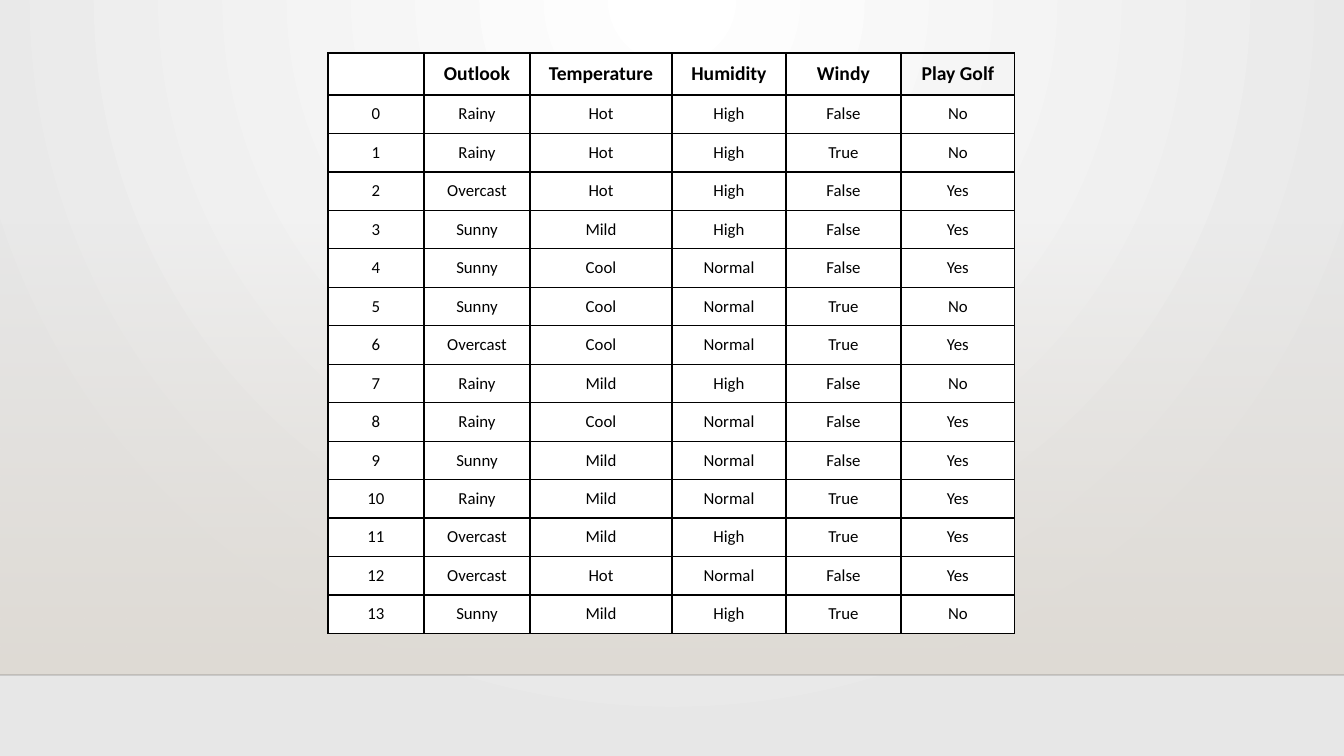
from lxml import etree
from pptx import Presentation
from pptx import util as u
from pptx.dml.color import RGBColor
from pptx.enum import shapes, text
from pptx.oxml import ns, parse_xml

PX = 914400 / 100.8
WIDE, HIGH = 1344, 756
COLORS = {"white": "FFFFFF", "edge": "E7E7E7", "sand": "DFDBD5",
          "rule": "000001", "ink": "000000"}
FONT = "Calibri"
HEADS = ["", "Outlook", "Temperature", "Humidity", "Windy", "Play Golf"]
DAYS = """Rainy Hot High False No
Rainy Hot High True No
Overcast Hot High False Yes
Sunny Mild High False Yes
Sunny Cool Normal False Yes
Sunny Cool Normal True No
Overcast Cool Normal True Yes
Rainy Mild High False No
Rainy Cool Normal False Yes
Sunny Mild Normal False Yes
Rainy Mild Normal True Yes
Overcast Mild High True Yes
Overcast Hot Normal False Yes
Sunny Mild High True No"""
COLS = [96, 106, 142, 114, 115, 114]
HEAD_H, ROW_H = 42, 38


def px(n):
    return u.Emu(round(n * PX))


def rgb(name):
    return RGBColor.from_string(COLORS[name])


def grade(fill, root, stops, way):
    """Give fill, the first gradient under root, (position, colour, alpha) stops."""
    fill.gradient()
    grad = next(root.iter(ns.qn("a:gradFill")))
    for kid in list(grad):
        grad.remove(kid)
    marks = "".join(
        f'<a:gs pos="{pos * 1000}"><a:srgbClr val="{COLORS[name]}">'
        f'<a:alpha val="{alpha * 1000}"/></a:srgbClr></a:gs>'
        for pos, name, alpha in stops)
    grad.append(parse_xml(f'<a:gsLst {ns.nsdecls("a")}>{marks}</a:gsLst>'))
    grad.append(parse_xml(way))


def write(cell, words, size=12, bold=False, pad=9):
    cell.vertical_anchor = text.MSO_ANCHOR.MIDDLE
    cell.margin_left = cell.margin_right = px(6)
    cell.margin_top = cell.margin_bottom = px(pad)
    para = cell.text_frame.paragraphs[0]
    para.alignment = text.PP_ALIGN.CENTER
    run = para.add_run()
    run.text = words
    run.font.name, run.font.size, run.font.bold = FONT, u.Pt(size), bold
    run.font.color.rgb = rgb("ink")


def frame(cell):
    """Draw a thin line on all four sides of the cell."""
    props = cell._tc.get_or_add_tcPr()
    for side in "LRTB":
        props.append(parse_xml(
            f'<a:ln{side} {ns.nsdecls("a")} w="12700"><a:solidFill>'
            f'<a:srgbClr val="{COLORS["ink"]}"/></a:solidFill></a:ln{side}>'))


def backdrop(slide, top, floor):
    """Radial background with a sand fade from top down to a floor line."""
    grade(slide.background.fill, slide.element,
          [(0, "white", 100), (100, "edge", 100)],
          f'<a:path {ns.nsdecls("a")} path="circle"><a:fillToRect '
          'l="43000" t="0" r="43000" b="100000"/></a:path>')
    fade = slide.shapes.add_shape(shapes.MSO_SHAPE.RECTANGLE, 0, px(top),
                                  px(WIDE), px(floor - top))
    fade.shadow.inherit = False
    fade.line.fill.background()
    grade(fade.fill, fade.element, [(0, "sand", 0), (100, "sand", 100)],
          f'<a:lin {ns.nsdecls("a")} ang="5400000" scaled="0"/>')
    rule = slide.shapes.add_connector(shapes.MSO_CONNECTOR.STRAIGHT, 0,
                                      px(floor), px(WIDE), px(floor))
    rule.line.width = u.Pt(1)
    rule.line.color.rgb = rgb("rule")
    tint = next(rule.element.iter(ns.qn("a:srgbClr")))
    etree.SubElement(tint, ns.qn("a:alpha"), val="20000")
    etree.SubElement(rule.element.spPr, ns.qn("a:effectLst"))


def grid(slide, left, top):
    rows = [HEADS] + [[str(i), *day.split()]
                      for i, day in enumerate(DAYS.splitlines())]
    high = HEAD_H + ROW_H * (len(rows) - 1)
    table = slide.shapes.add_table(len(rows), len(COLS), px(left), px(top),
                                   px(sum(COLS)), px(high)).table
    table.first_row = table.horz_banding = False
    for col, wide in zip(table.columns, COLS):
        col.width = px(wide)
    for r, row in enumerate(rows):
        head = r == 0
        table.rows[r].height = px(HEAD_H if head else ROW_H)
        style = {"size": 14, "bold": True, "pad": 6} if head else {}
        for c, words in enumerate(row):
            cell = table.cell(r, c)
            frame(cell)
            if words:
                write(cell, words, **style)
            if words == HEADS[-1]:
                cell.fill.background()
            else:
                cell.fill.solid()
                cell.fill.fore_color.rgb = rgb("white")


def main():
    deck = Presentation()
    deck.slide_width, deck.slide_height = px(WIDE), px(HIGH)
    slide = deck.slides.add_slide(deck.slide_layouts[6])
    backdrop(slide, 223, 675)
    grid(slide, 328, 53)
    deck.save("out.pptx")


if __name__ == "__main__":
    main()
